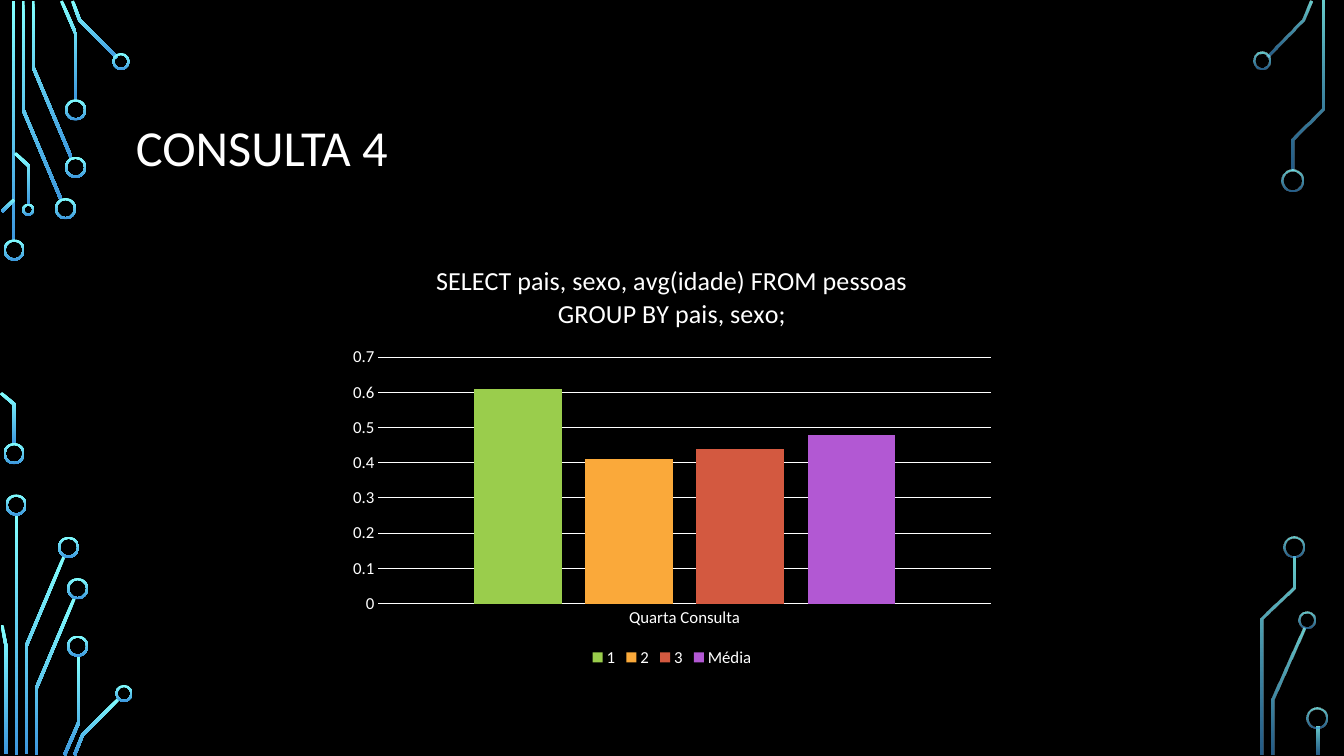
import math

import pptx
import pptx.chart.data
import pptx.dml.color
import pptx.enum.chart
import pptx.enum.shapes
import pptx.enum.text
import pptx.oxml
import pptx.oxml.ns
import pptx.util
from pptx.util import Inches

RGBColor = pptx.dml.color.RGBColor
BLACK = RGBColor(0x00, 0x00, 0x00)
WHITE = RGBColor(0xFF, 0xFF, 0xFF)
CYAN = RGBColor(0x82, 0xFF, 0xFF)
BLUE = RGBColor(0x3D, 0x97, 0xDE)
GREEN = RGBColor(0x9A, 0xCD, 0x4C)
ORANGE = RGBColor(0xFA, 0xA9, 0x3A)
RED = RGBColor(0xD3, 0x59, 0x40)
PURPLE = RGBColor(0xB2, 0x58, 0xD3)

OPAQUE = (100, 100)
FADED = (80, 60)
TRACK = 0.03
RING = 0.02

# Circuit parts: rails are left, top, height; tracks are centre lines;
# pads are centre x, centre y, diameter.
LEFT_RAILS = [(0.12, 0.01, 2.39), (0.15, 5.1, 2.39)]
LEFT_TRACKS = [
    [(0.23, 0.01), (0.23, 1.09), (0.61, 1.99)],
    [(0.33, 0.01), (0.33, 0.67), (0.71, 1.57)],
    [(0.61, 0.01), (0.75, 0.33), (0.75, 1)],
    [(0.72, 0.01), (0.79, 0.2), (1.16, 0.57)],
    [(0.02, 2.1), (0.14, 1.98)],
    [(0.01, 3.9), (0.14, 4.01), (0.14, 4.41)],
    [(0.15, 1.52), (0.29, 1.65), (0.29, 2.03)],
    [(0.26, 7.48), (0.26, 6.41), (0.64, 5.51)],
    [(0.02, 6.2), (0.06, 6.41), (0.06, 7.48)],
    [(0.36, 7.49), (0.36, 6.83), (0.74, 5.93)],
    [(0.64, 7.49), (0.78, 7.17), (0.78, 6.5)],
    [(0.74, 7.49), (0.82, 7.29), (1.18, 6.93)],
]
LEFT_PADS = [
    (0.14, 2.48, 0.21), (0.14, 4.5, 0.21), (0.65, 2.07, 0.21),
    (0.75, 1.66, 0.21), (0.75, 1.09, 0.21), (1.2, 0.61, 0.17),
    (0.28, 2.08, 0.12), (0.16, 5.01, 0.21), (0.68, 5.43, 0.21),
    (0.77, 5.84, 0.21), (0.77, 6.41, 0.21), (1.23, 6.88, 0.17),
]
RIGHT_RAILS = [(13.06, 7.21, 0.28)]
RIGHT_TRACKS = [
    [(12.57, 0.56), (12.92, 0.2), (13, 0.01)],
    [(12.63, 7.49), (12.63, 6.94), (12.93, 6.23)],
    [(12.82, 1.69), (12.82, 1.38), (13.12, 1.08), (13.12, 0.01)],
    [(12.83, 5.52), (12.83, 5.83), (12.52, 6.14), (12.52, 7.49)],
]
RIGHT_PADS = [
    (12.52, 0.6, 0.17), (12.82, 1.79, 0.21), (12.96, 6.15, 0.17),
    (12.83, 5.43, 0.21), (13.06, 7.12, 0.21),
]


def outline(points, width):
    """Return the closed outline of a centre line, with mitred corners."""
    angles = [math.atan2(y2 - y1, x2 - x1)
              for (x1, y1), (x2, y2) in zip(points, points[1:])]
    left, right = [], []
    for (x, y), before, after in zip(points, angles[:1] + angles, angles + angles[-1:]):
        direction = (before + after) / 2
        reach = width / 2 / math.cos((after - before) / 2)
        dx, dy = -math.sin(direction) * reach, math.cos(direction) * reach
        left.append((Inches(x + dx), Inches(y + dy)))
        right.append((Inches(x - dx), Inches(y - dy)))
    return left + right[::-1]


class SlideBuilder:
    """Holds the style and the current slide."""

    font_name = "Calibri"
    text_color = WHITE

    def __init__(self, slide, background):
        """Keep the slide and paint its background."""
        self.slide = slide
        slide.background.fill.solid()
        slide.background.fill.fore_color.rgb = background

    def style_font(self, font, size):
        """Apply the common font look."""
        font.name = self.font_name
        font.size = pptx.util.Pt(size)
        font.bold = False
        font.color.rgb = self.text_color

    def glow(self, shape, opacity):
        """Fill a shape with the downward circuit gradient."""
        shape.shadow.inherit = False
        shape.line.fill.background()
        shape.fill.gradient()
        shape.fill.gradient_angle = 270
        for stop, color in zip(shape.fill.gradient_stops, (CYAN, BLUE)):
            stop.color.rgb = color
        colors = shape._element.xpath(".//a:gsLst//a:srgbClr")
        for element, percent in zip(colors, opacity):
            if percent < 100:
                alpha = pptx.oxml.parse_xml(
                    f'<a:alpha {pptx.oxml.ns.nsdecls("a")} val="{percent * 1000}"/>')
                element.append(alpha)

    def rail(self, left, top, height, opacity):
        """Add a straight vertical bar."""
        shape = self.slide.shapes.add_shape(
            pptx.enum.shapes.MSO_SHAPE.RECTANGLE,
            Inches(left), Inches(top), Inches(TRACK), Inches(height))
        self.glow(shape, opacity)

    def track(self, points, opacity):
        """Add a bent circuit track."""
        start, *rest = outline(points, TRACK)
        builder = self.slide.shapes.build_freeform(*start)
        builder.add_line_segments(rest, close=True)
        self.glow(builder.convert_to_shape(), opacity)

    def pad(self, x, y, diameter, opacity):
        """Add a ring around a centre point."""
        shape = self.slide.shapes.add_shape(
            pptx.enum.shapes.MSO_SHAPE.DONUT,
            Inches(x - diameter / 2), Inches(y - diameter / 2),
            Inches(diameter), Inches(diameter))
        shape.adjustments[0] = RING / diameter
        self.glow(shape, opacity)

    def circuit(self, rails, tracks, pads, opacity):
        """Add one side of the circuit decoration."""
        for rail in rails:
            self.rail(*rail, opacity)
        for points in tracks:
            self.track(points, opacity)
        for pad in pads:
            self.pad(*pad, opacity)

    def text(self, content, left, top, width, height, size):
        """Add a vertically centred text box."""
        box = self.slide.shapes.add_textbox(
            Inches(left), Inches(top), Inches(width), Inches(height))
        frame = box.text_frame
        frame.word_wrap = True
        frame.vertical_anchor = pptx.enum.text.MSO_ANCHOR.MIDDLE
        paragraph = frame.paragraphs[0]
        paragraph.line_spacing = 0.9
        run = paragraph.add_run()
        run.text = content
        self.style_font(run.font, size)

    def column_chart(self, title, category, series, left, top, width, height):
        """Add a clustered column chart; series are name, value, colour."""
        data = pptx.chart.data.CategoryChartData()
        data.categories = [category]
        for name, value, color in series:
            data.add_series(name, [value])
        chart = self.slide.shapes.add_chart(
            pptx.enum.chart.XL_CHART_TYPE.COLUMN_CLUSTERED,
            Inches(left), Inches(top), Inches(width), Inches(height), data).chart
        self.style_font(chart.font, 12)

        chart.has_title = True
        run = chart.chart_title.text_frame.paragraphs[0].add_run()
        run.text = title
        self.style_font(run.font, 18.6)
        chart.chart_title.include_in_layout = False

        chart.has_legend = True
        chart.legend.position = pptx.enum.chart.XL_LEGEND_POSITION.BOTTOM
        chart.legend.include_in_layout = False
        self.style_font(chart.legend.font, 12)

        plot = chart.plots[0]
        plot.gap_width, plot.overlap, plot.vary_by_categories = 219, -27, False
        for item, (name, value, color) in zip(plot.series, series):
            item.format.fill.solid()
            item.format.fill.fore_color.rgb = color

        values = chart.value_axis
        values.minimum_scale, values.maximum_scale, values.major_unit = 0, 0.7, 0.1
        values.format.line.fill.background()
        for axis in (chart.category_axis, values):
            axis.major_tick_mark = pptx.enum.chart.XL_TICK_MARK.NONE
            self.style_font(axis.tick_labels.font, 12)
        for line in (chart.category_axis.format.line, values.major_gridlines.format.line):
            line.color.rgb = WHITE
            line.width = pptx.util.Pt(0.75)


presentation = pptx.Presentation()
presentation.slide_width = Inches(13.33)
presentation.slide_height = Inches(7.5)
builder = SlideBuilder(
    presentation.slides.add_slide(presentation.slide_layouts[6]), BLACK)
builder.circuit(LEFT_RAILS, LEFT_TRACKS, LEFT_PADS, OPAQUE)
builder.circuit(RIGHT_RAILS, RIGHT_TRACKS, RIGHT_PADS, FADED)
builder.text("CONSULTA 4", 1.25, 0.68, 10.83, 1.62, 36)
builder.column_chart(
    "SELECT pais, sexo, avg(idade) FROM pessoas GROUP BY pais, sexo;",
    "Quarta Consulta",
    [("1", 0.61, GREEN), ("2", 0.41, ORANGE), ("3", 0.44, RED), ("Média", 0.48, PURPLE)],
    3.37, 2.42, 6.59, 4.24)
presentation.save("out.pptx")
